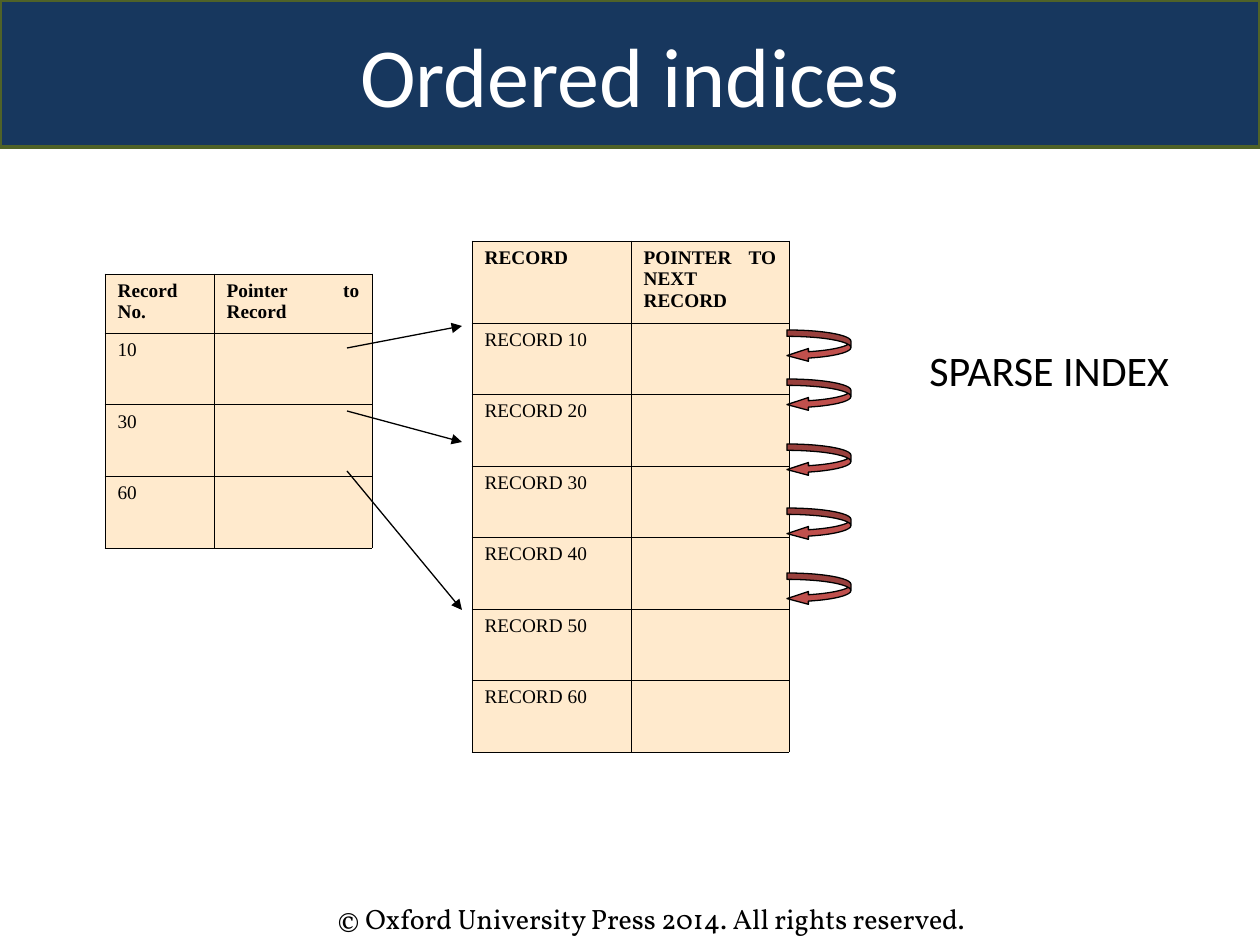
from lxml.etree import SubElement
from pptx import Presentation
from pptx.dml.color import RGBColor
from pptx.enum.shapes import MSO_CONNECTOR as CONNECTOR, MSO_SHAPE as SHAPE
from pptx.enum.text import MSO_ANCHOR as ANCHOR, MSO_AUTO_SIZE as AUTO_SIZE, PP_ALIGN as ALIGN
from pptx.oxml.ns import qn
from pptx.util import Emu, Inches, Pt

NAVY = RGBColor(0x17, 0x37, 0x5E)
OLIVE = RGBColor(0x4F, 0x62, 0x28)
CREAM = RGBColor(0xFF, 0xEA, 0xCD)
RED = RGBColor(0xC0, 0x50, 0x4D)
BLACK = RGBColor(0, 0, 0)
WHITE = RGBColor(255, 255, 255)

TITLE = dict(name="Calibri", size=Pt(48), color=WHITE)
LABEL = dict(name="Calibri", size=Pt(24), color=BLACK)
FOOTER = dict(name="Vollkorn", size=Pt(16), color=BLACK)
HEADER = dict(name="Times New Roman", size=Pt(11), color=BLACK, bold=True)
BODY = {**HEADER, "bold": False}


def px(n):
    return Emu(round(n * 914400 / 126))


def box(*lengths):
    return [px(n) for n in lengths]


def write(tf, text, fmt, align):
    p = tf.paragraphs[0]
    p.alignment = align
    r = p.add_run()
    r.text = text
    for key, value in fmt.items():
        if key == "color":
            r.font.color.rgb = value
        else:
            setattr(r.font, key, value)


def paint(sp, fill, line, width):
    sp.fill.solid()
    sp.fill.fore_color.rgb = fill
    sp.line.color.rgb = line
    sp.line.width = Pt(width)


def add_title(s, text):
    sp = s.shapes.title
    sp.left, sp.top, sp.width, sp.height = box(0, 0, 1260, 147)
    paint(sp, NAVY, OLIVE, 2)
    tf = sp.text_frame
    tf.auto_size = AUTO_SIZE.NONE
    tf.vertical_anchor = ANCHOR.MIDDLE
    write(tf, text, TITLE, ALIGN.CENTER)


def add_text(s, at, text, fmt, align, anchor, wrap):
    tf = s.shapes.add_textbox(*box(*at)).text_frame
    tf.word_wrap = wrap
    tf.auto_size = AUTO_SIZE.SHAPE_TO_FIT_TEXT
    tf.vertical_anchor = anchor
    write(tf, text, fmt, align)


def add_borders(cell):
    tc_pr = cell._tc.get_or_add_tcPr()
    for i, side in enumerate(("lnL", "lnR", "lnT", "lnB")):
        ln = tc_pr.makeelement(qn(f"a:{side}"), {"w": str(Pt(0.45))})
        fill = SubElement(ln, qn("a:solidFill"))
        SubElement(fill, qn("a:srgbClr"), val=str(BLACK))
        tc_pr.insert(i, ln)  # borders come before the fill


def add_index_table(s, at, cols, header_height, headers, keys):
    """Header row, then one equal row per key with an empty pointer cell."""
    rows = [headers] + [(key, "") for key in keys]
    table = s.shapes.add_table(len(rows), len(cols), *box(*at)).table
    table.first_row = table.horz_banding = False
    for col, width in zip(table.columns, cols):
        col.width = px(width)
    body_height = (at[3] - header_height) / len(keys)
    for i, texts in enumerate(rows):
        table.rows[i].height = px(body_height if i else header_height)
        for cell, text in zip(table.rows[i].cells, texts):
            cell.fill.solid()
            cell.fill.fore_color.rgb = CREAM
            add_borders(cell)
            if text:
                write(cell.text_frame, text, BODY if i else HEADER, ALIGN.JUSTIFY)


def add_next_arrow(s, top):
    sp = s.shapes.add_shape(SHAPE.CURVED_LEFT_ARROW, *box(787, top, 64, 32))
    sp.shadow.inherit = False
    for i, value in enumerate((0.2, 0.4, 0.67)):
        sp.adjustments[i] = value
    paint(sp, RED, BLACK, 0.75)


def add_pointer(s, y1, y2):
    line = s.shapes.add_connector(CONNECTOR.STRAIGHT, *box(347, y1, 462, y2))
    line.line.color.rgb = BLACK
    line.line.width = Pt(0.75)
    SubElement(line.line._get_or_add_ln(), qn("a:tailEnd"), type="triangle")
    SubElement(line._element.spPr, qn("a:effectLst"))


def main():
    prs = Presentation()
    prs.slide_width, prs.slide_height = Inches(10), Inches(7.5)
    s = prs.slides.add_slide(prs.slide_layouts[5])

    # Title, label and copyright line
    add_title(s, "Ordered indices")
    add_text(s, (325, 895, 746, 47), "© Oxford University Press 2014. All rights reserved.",
             FOOTER, ALIGN.LEFT, ANCHOR.TOP, True)
    add_text(s, (917, 338, 268, 63), "SPARSE INDEX", LABEL, ALIGN.JUSTIFY, ANCHOR.MIDDLE, False)

    # Sparse index and the records it points to
    add_index_table(s, (105, 274, 267, 274), (109, 158), 59,
                    ("Record No.", "Pointer to Record"), ("10", "30", "60"))
    add_index_table(s, (472, 241, 317, 511), (159, 158), 82,
                    ("RECORD", "POINTER TO NEXT RECORD"),
                    [f"RECORD {n}" for n in range(10, 70, 10)])

    # Links from each record to the next
    for top in (330, 379, 444, 508, 573):
        add_next_arrow(s, top)

    # Links from the index to the records
    for y1, y2 in ((348, 326), (411, 442), (471, 610)):
        add_pointer(s, y1, y2)

    prs.save("out.pptx")


if __name__ == "__main__":
    main()
